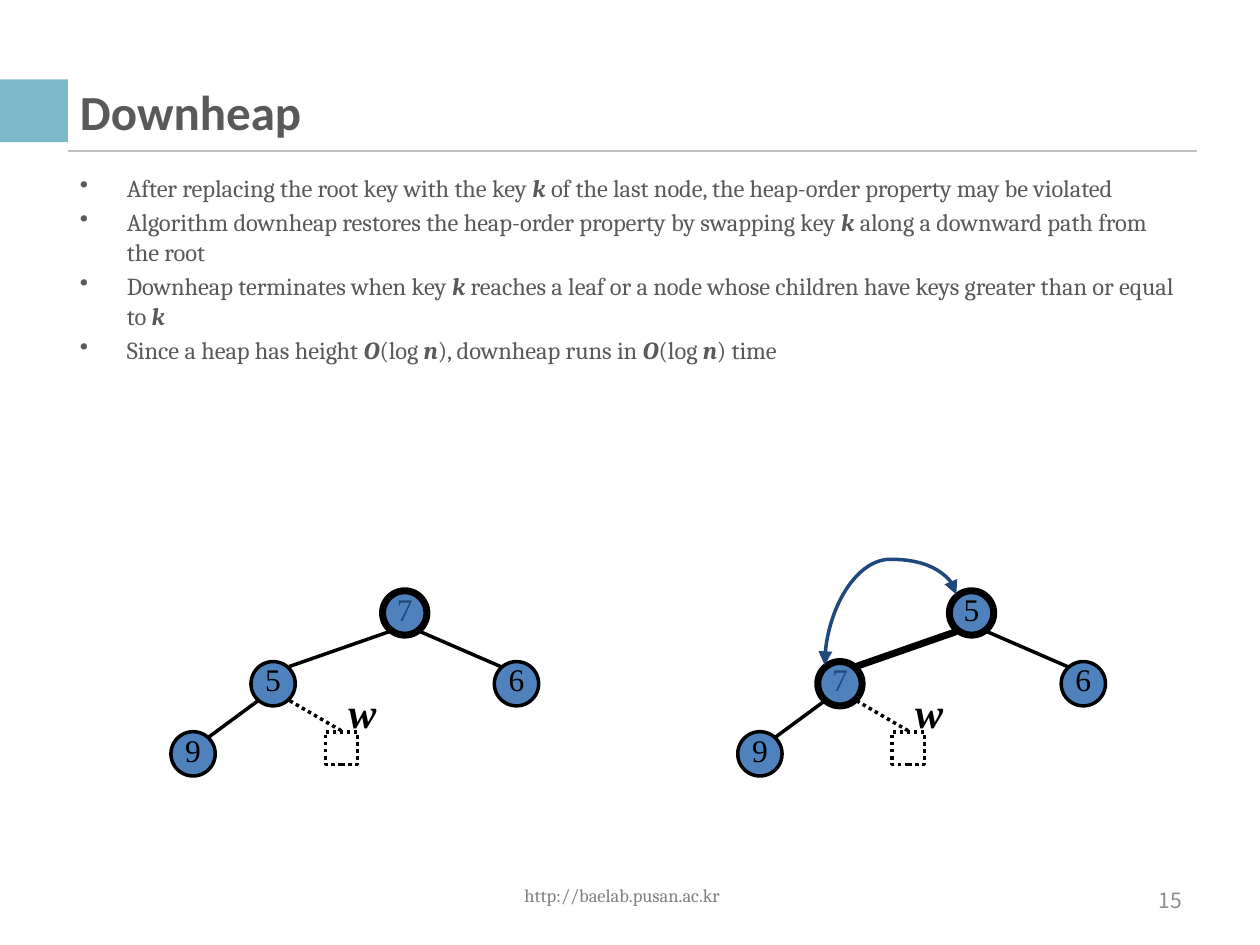
from lxml import etree
from pptx import Presentation
from pptx.dml.color import RGBColor
from pptx.enum.dml import MSO_LINE
from pptx.enum.shapes import MSO_CONNECTOR, MSO_SHAPE
from pptx.enum.text import MSO_ANCHOR, PP_ALIGN
from pptx.oxml.ns import qn
from pptx.util import Cm, Pt

BLACK = RGBColor(0x00, 0x00, 0x00)
WHITE = RGBColor(0xFF, 0xFF, 0xFF)
TEAL = RGBColor(0x7C, 0xBA, 0xC9)
BLUE = RGBColor(0x4F, 0x81, 0xBD)
NAVY = RGBColor(0x1F, 0x49, 0x7D)
SLATE = RGBColor(0x59, 0x59, 0x59)
GRAY = RGBColor(0x80, 0x80, 0x80)
PALE = RGBColor(0x8C, 0x8C, 0x8C)
SILVER = RGBColor(0xBF, 0xBF, 0xBF)

DOT = MSO_LINE.ROUND_DOT
STRAIGHT, CURVE = MSO_CONNECTOR.STRAIGHT, MSO_CONNECTOR.CURVE
OVAL, RECT = MSO_SHAPE.OVAL, MSO_SHAPE.RECTANGLE
MIDDLE, TOP = MSO_ANCHOR.MIDDLE, MSO_ANCHOR.TOP
LEFT, CENTER, RIGHT = PP_ALIGN.LEFT, PP_ALIGN.CENTER, PP_ALIGN.RIGHT

SERIF = "Times New Roman"
THIN, THICK = 1.5, 3
SIZE = 0.67
SHIFT = 8.57

POINTS = [
    "After replacing the root key with the key *k* of the last node, "
    "the heap-order property may be violated",
    "Algorithm downheap restores the heap-order property by swapping key *k* "
    "along a downward path from the root",
    "Downheap terminates when key *k* reaches a leaf or a node whose children "
    "have keys greater than or equal to *k*",
    "Since a heap has height *O*(log *n*), downheap runs in *O*(log *n*) time",
]


class Deck:
    def __init__(self):
        self.prs = Presentation()
        self.prs.slide_width, self.prs.slide_height = Cm(19.05), Cm(14.29)
        self.slide = self.prs.slides.add_slide(self.prs.slide_layouts[6])
        self.shapes = self.slide.shapes

    def style(self, run, name, size, color, bold=False, italic=False):
        font = run.font
        font.name, font.size = name, Pt(size)
        font.color.rgb = color
        font.bold, font.italic = bold, italic

    def text(self, box, text, name, size, color, align=LEFT, anchor=MIDDLE,
             wrap=True, bold=False, italic=False):
        frame = self.shapes.add_textbox(*map(Cm, box)).text_frame
        frame.word_wrap, frame.vertical_anchor = wrap, anchor
        frame.text = text
        para = frame.paragraphs[0]
        para.alignment = align
        self.style(para.runs[0], name, size, color, bold, italic)

    def bullets(self, box, items):
        frame = self.shapes.add_textbox(*map(Cm, box)).text_frame
        frame.word_wrap = True
        for i, item in enumerate(items):
            para = frame.add_paragraph() if i else frame.paragraphs[0]
            props = para._p.get_or_add_pPr()
            props.set("marL", str(Cm(0.71)))
            props.set("indent", str(-Cm(0.71)))
            etree.SubElement(props, qn("a:buChar")).set("char", "•")
            if i:
                para.space_before = Pt(2.2)
            for j, part in enumerate(item.split("*")):
                if part:
                    run = para.add_run()
                    run.text = part
                    key = j % 2 == 1
                    self.style(run, "Cambria", 10.5, SLATE, key, key)

    def shape(self, kind, box, fill, line=None, width=THIN, dash=None):
        shape = self.shapes.add_shape(kind, *map(Cm, box))
        shape.shadow.inherit = False
        shape.fill.solid()
        shape.fill.fore_color.rgb = fill
        if line is None:
            shape.line.fill.background()
        else:
            self.stroke(shape.line, line, width, dash)
        return shape

    def stroke(self, line, color, width, dash=None):
        line.color.rgb = color
        line.width = Pt(width)
        if dash:
            line.dash_style = dash

    def line(self, ends, color=BLACK, width=THIN, dash=None, kind=STRAIGHT):
        link = self.shapes.add_connector(kind, *map(Cm, ends))
        self.stroke(link.line, color, width, dash)
        etree.SubElement(link._element.spPr, qn("a:effectLst"))
        return link

    def swap(self, ends, bend):
        link = self.line(ends, NAVY, kind=CURVE)
        props = link._element.spPr
        props.find(qn("a:xfrm")).set("rot", str(270 * 60000))
        geom = props.find(qn("a:prstGeom"))
        guide = etree.SubElement(geom.find(qn("a:avLst")), qn("a:gd"))
        guide.set("name", "adj1")
        guide.set("fmla", f"val {bend}")
        for tag in ("a:headEnd", "a:tailEnd"):
            etree.SubElement(props.find(qn("a:ln")), qn(tag)).set("type", "triangle")

    def node(self, x, y, key, width, color):
        box = (x - SIZE / 2, y - SIZE / 2, SIZE, SIZE)
        frame = self.shape(OVAL, box, BLUE, BLACK, width).text_frame
        frame.margin_left = frame.margin_right = frame.margin_top = 0
        frame.margin_bottom = Cm(0.13)
        frame.word_wrap, frame.vertical_anchor = False, MIDDLE
        frame.text = key
        para = frame.paragraphs[0]
        para.alignment = CENTER
        self.style(para.runs[0], SERIF, 13.5, color)

    def tree(self, dx, root, left, bold):
        edges = [
            (5.89, 9.55, 4.37, 10.08, THICK if bold else THIN, None),
            (7.57, 10.08, 6.35, 9.55, THIN, None),
            (3.15, 11.15, 3.91, 10.59, THIN, None),
            (5.16, 11.05, 4.37, 10.59, THIN, DOT),
        ]
        nodes = [
            (6.12, 9.27, root, THICK),
            (7.81, 10.34, "6", THIN),
            (4.13, 10.34, left, THICK if bold else THIN),
            (2.92, 11.4, "9", THIN),
        ]
        for x, y, key, width in nodes:
            self.node(x + dx, y, key, width, NAVY if key == "7" else BLACK)
        for x1, y1, x2, y2, width, dash in edges:
            self.line((x1 + dx, y1, x2 + dx, y2), width=width, dash=dash)
        self.text((5.01 + dx, 10.26, 0.94, 1.02), "w", SERIF, 18, BLACK,
                  CENTER, TOP, False, True, True)
        self.shape(RECT, (4.92 + dx, 11.07, 0.49, 0.49), WHITE, BLACK, dash=DOT)


def main():
    deck = Deck()
    deck.text((6.38, 13.16, 6.05, 0.76), "http://baelab.pusan.ac.kr",
              "Cambria", 7.9, GRAY, CENTER)
    deck.shape(RECT, (0, 1.2, 1.03, 0.95), TEAL)
    deck.line((1.03, 2.28, 18.1, 2.28), SILVER, 1)
    deck.text((0.96, 1.22, 17.15, 0.9), "Downheap", "Calibri", 21, SLATE, bold=True)
    deck.bullets((0.96, 2.49, 17.15, 10.29), POINTS)
    deck.tree(0, "7", "5", False)
    deck.tree(SHIFT, "5", "7", True)
    deck.swap((14, 10.52, 12.93, 8.53), -49800)
    deck.text((13.67, 13.23, 4.45, 0.76), "15", "Noto Sans CJK KR", 9, PALE, RIGHT)
    deck.prs.save("out.pptx")


if __name__ == "__main__":
    main()
